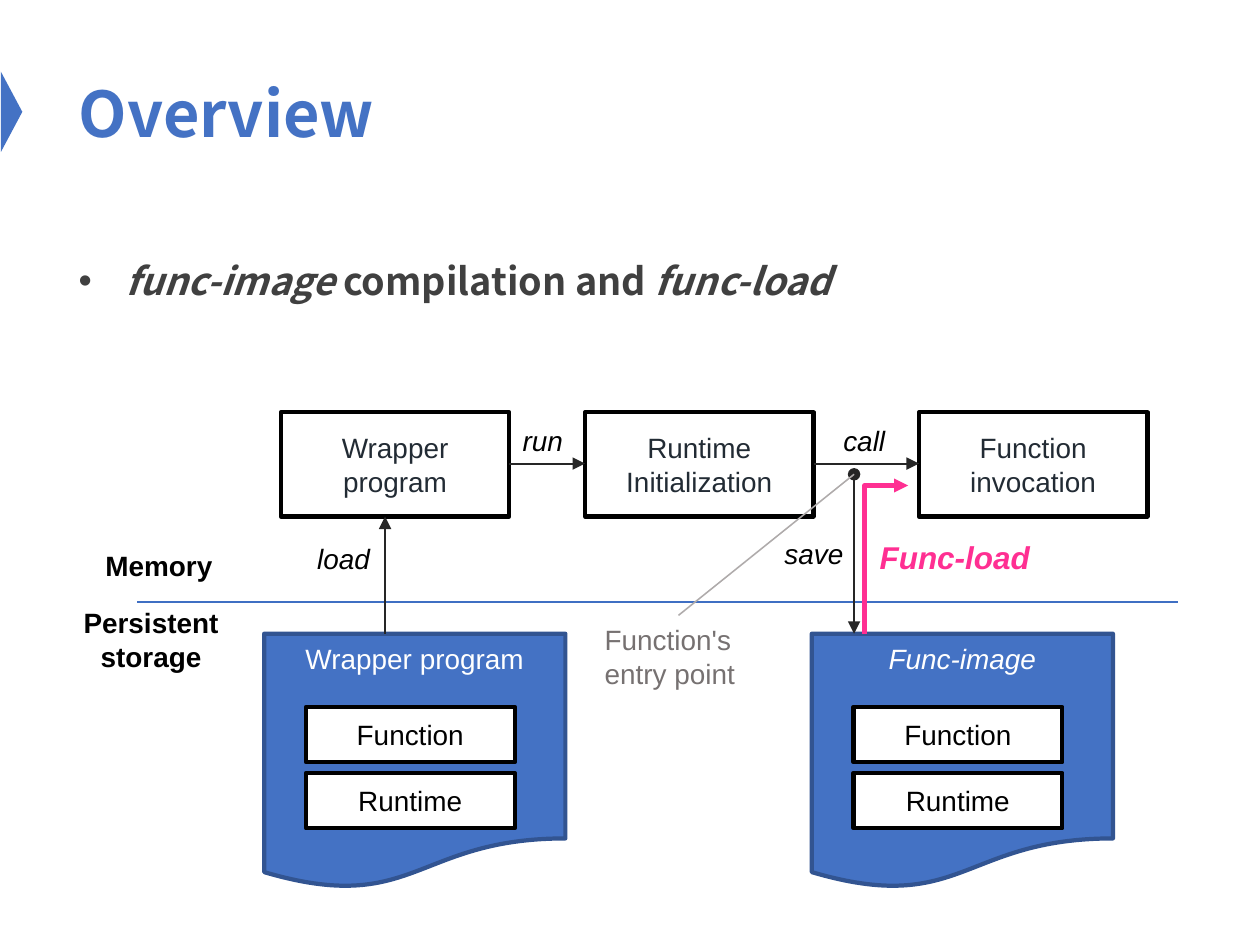
from lxml.etree import SubElement
from pptx import Presentation
from pptx.dml.color import RGBColor
from pptx.enum.shapes import MSO_CONNECTOR, MSO_SHAPE
from pptx.enum.text import MSO_ANCHOR, PP_ALIGN
from pptx.oxml.ns import qn
from pptx.util import Cm, Pt

HEADING = "Noto Sans CJK SC"
BLUE, BLACK, WHITE, PINK = "4472C4", "000000", "FFFFFF", "FF2F92"
DARK, STEP_TEXT, GREY = "262626", "222B34", "767171"

TITLE = "Overview"
TOPIC = [("func-image", True), (" compilation and ", False), ("func-load", True)]

# Lengths are in centimetres
STEPS = [("Wrapper program", 4.72), ("Runtime Initialization", 9.83),
         ("Function invocation", 15.44)]
STEP_TOP, STEP_WIDTH, STEP_HEIGHT = 6.93, 3.84, 1.75
CALL_Y = 7.79

FILES = [("Wrapper program", 4.44, {}), ("Func-image", 13.64, {"italic": True})]
FILE_TOP, FILE_WIDTH, FILE_HEIGHT = 10.65, 5.06, 4.29
FILE_PARTS = ["Function", "Runtime"]
PART_WIDTH, PART_HEIGHT, PART_PITCH = 3.51, 0.93, 1.11
PART_INDENT, PART_DROP = 0.7, 1.23

DIVIDER = (2.31, 10.11, 19.79, 10.11)
LOAD_X, SAVE_X, FUNC_LOAD_X = 6.47, 14.35, 14.53
ENTRY_Y = 7.97

ITALIC, BOLD = {"italic": True}, {"bold": True}
LABELS = [
    ("call", (13.92, 6.99, 1.45, 1.07), BLACK, PP_ALIGN.LEFT, ITALIC),
    ("run", (8.53, 6.99, 1.42, 1.07), BLACK, PP_ALIGN.LEFT, ITALIC),
    ("load", (5.08, 8.97, 1.68, 1.07), BLACK, PP_ALIGN.LEFT, ITALIC),
    ("save", (12.93, 8.89, 1.8, 1.07), BLACK, PP_ALIGN.LEFT, ITALIC),
    ("Func-load", (14.53, 8.92, 3.66, 1.17), PINK, PP_ALIGN.LEFT,
     {"size": Pt(15), "bold": True, "italic": True}),
    ("Memory", (1.52, 9.09, 3.02, 1.07), BLACK, PP_ALIGN.LEFT, BOLD),
    ("Persistent storage", (0.66, 10.06, 3.76, 1.8), BLACK, PP_ALIGN.CENTER, BOLD),
    ("Function's\nentry point", (9.91, 10.34, 3, 1.4), GREY, PP_ALIGN.LEFT, {}),
]


def rgb(color):
    return RGBColor.from_string(color)


def style(font, color, **formats):
    for key, value in {"name": "Arial", "size": Pt(13.3), **formats}.items():
        setattr(font, key, value)
    font.color.rgb = rgb(color)


def write(frame, text, color, align, anchor, **formats):
    frame.word_wrap = True
    frame.vertical_anchor = anchor
    frame.text = text
    for paragraph in frame.paragraphs:
        paragraph.alignment = align
        for run in paragraph.runs:
            style(run.font, color, **formats)


def add_box(kind, place, fill, border=None):
    box = slide.shapes.add_shape(kind, *map(Cm, place))
    box.shadow.inherit = False
    box.fill.solid()
    box.fill.fore_color.rgb = rgb(fill)
    if border:
        box.line.color.rgb = rgb(border)
        box.line.width = Pt(2)
    else:
        box.line.fill.background()
    return box


def add_line(ends, color, width=1, head=None, tail=None, kind=MSO_CONNECTOR.STRAIGHT):
    line = slide.shapes.add_connector(kind, *map(Cm, ends))
    line.line.color.rgb = rgb(color)
    line.line.width = Pt(width)
    outline = line.line._get_or_add_ln()
    for tag, arrow in (("a:headEnd", head), ("a:tailEnd", tail)):
        if arrow:
            SubElement(outline, qn(tag), type=arrow)
    SubElement(line._element.spPr, qn("a:effectLst"))
    return line


def add_topic():
    box = slide.shapes.add_textbox(Cm(1.07), Cm(4.06), Cm(19.05), Cm(0.94))
    box.text_frame.word_wrap = True
    paragraph = box.text_frame.paragraphs[0]
    properties = paragraph._p.get_or_add_pPr()
    properties.set("marL", str(Cm(0.79)))
    properties.set("indent", str(-Cm(0.79)))
    paragraph.line_spacing = 1.2
    SubElement(properties, qn("a:buFont"), typeface="Arial")
    SubElement(properties, qn("a:buChar"), char="•")
    for text, italic in TOPIC:
        run = paragraph.add_run()
        run.text = text
        style(run.font, "404040", name=HEADING, size=Pt(18), bold=True, italic=italic)


presentation = Presentation()
presentation.slide_width, presentation.slide_height = Cm(21.17), Cm(15.88)
slide = presentation.slides.add_slide(presentation.slide_layouts[5])

marker = add_box(MSO_SHAPE.ISOSCELES_TRIANGLE, (-0.48, 1.7, 1.35, 0.36), BLUE)
marker.rotation = 90

title = slide.shapes.title
title.left, title.top, title.width, title.height = map(Cm, (1.07, 0.64, 19.05, 2.49))
write(title.text_frame, TITLE, BLUE, PP_ALIGN.LEFT, MSO_ANCHOR.MIDDLE,
      name=HEADING, size=Pt(30), bold=True)
add_topic()

for name, left, formats in FILES:
    document = add_box(MSO_SHAPE.FLOWCHART_DOCUMENT,
                       (left, FILE_TOP, FILE_WIDTH, FILE_HEIGHT), BLUE, "325491")
    write(document.text_frame, name, WHITE, PP_ALIGN.CENTER, MSO_ANCHOR.TOP, **formats)
    for row, part_name in enumerate(FILE_PARTS):
        top = FILE_TOP + PART_DROP + row * PART_PITCH
        part = add_box(MSO_SHAPE.RECTANGLE,
                       (left + PART_INDENT, top, PART_WIDTH, PART_HEIGHT), WHITE, BLACK)
        write(part.text_frame, part_name, BLACK, PP_ALIGN.CENTER, MSO_ANCHOR.MIDDLE)

add_line(DIVIDER, "3F6FC3")

for name, left in STEPS:
    step = add_box(MSO_SHAPE.RECTANGLE, (left, STEP_TOP, STEP_WIDTH, STEP_HEIGHT),
                   WHITE, BLACK)
    write(step.text_frame, name, STEP_TEXT, PP_ALIGN.CENTER, MSO_ANCHOR.MIDDLE)

for (_, left), (_, next_left) in zip(STEPS, STEPS[1:]):
    add_line((left + STEP_WIDTH, CALL_Y, next_left, CALL_Y), DARK, tail="triangle")
add_line((LOAD_X, FILE_TOP, LOAD_X, STEP_TOP + STEP_HEIGHT), DARK, tail="triangle")
add_line((SAVE_X, ENTRY_Y, SAVE_X, FILE_TOP), DARK, head="oval", tail="triangle")

func_load = add_line((FUNC_LOAD_X, FILE_TOP, 15.26, 8.16), PINK, 2.25,
                     tail="triangle", kind=MSO_CONNECTOR.ELBOW)
bend = func_load._element.spPr.find(qn("a:prstGeom")).get_or_add_avLst()
SubElement(bend, qn("a:gd"), name="adj1", fmla="val 0")

for text, place, color, align, formats in LABELS:
    label = slide.shapes.add_textbox(*map(Cm, place))
    write(label.text_frame, text, color, align, MSO_ANCHOR.TOP, **formats)

add_line((SAVE_X, ENTRY_Y, 11.4, 10.34), "AFABAB", 0.75)

presentation.save("out.pptx")
